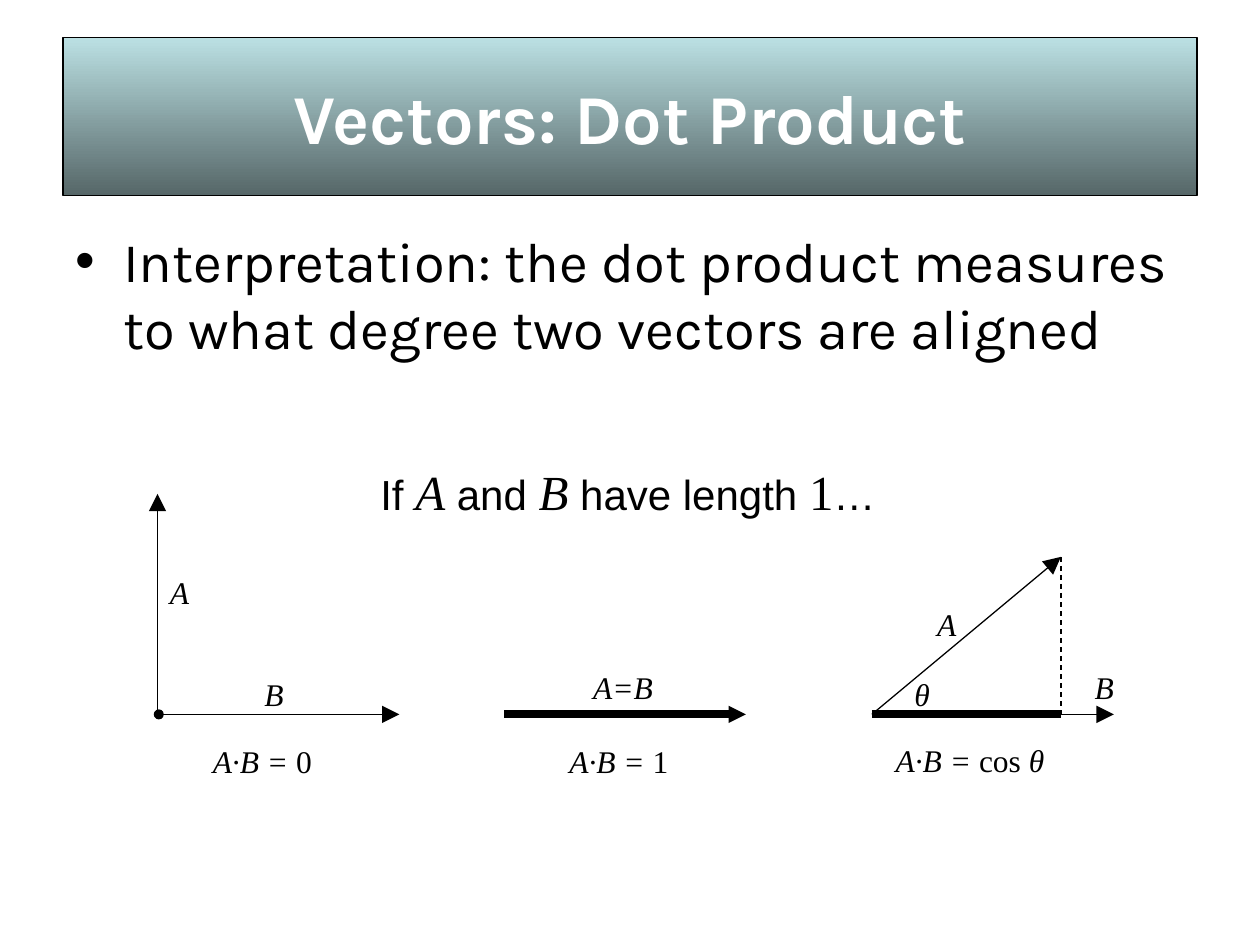
from lxml import etree
from pptx import Presentation, util as u
from pptx.dml.color import RGBColor
from pptx.enum import dml, shapes, text
from pptx.oxml.ns import qn

COLORS = {"ink": "000000", "title": "FFFFFF", "band_top": "BBE0E3", "band_bottom": "566768"}
RGB = {name: RGBColor.from_string(value) for name, value in COLORS.items()}
SERIF = "Times New Roman"

deck = Presentation()
deck.slide_width, deck.slide_height = u.Inches(10), u.Inches(7.5)
page = deck.slides.add_slide(deck.slide_layouts[6])


def add_label(left, top, width, height, spans):
    """Place one line of text; each span is (text, font, size, italic)."""
    box = page.shapes.add_textbox(*map(u.Inches, (left, top, width, height)))
    box.text_frame.word_wrap = False
    box.text_frame.auto_size = text.MSO_AUTO_SIZE.SHAPE_TO_FIT_TEXT
    para = box.text_frame.paragraphs[0]
    para.font.color.rgb = RGB["ink"]
    for words, font, size, italic in spans:
        span = para.add_run()
        span.text = words
        span.font.name, span.font.size, span.font.italic = font, u.Pt(size), italic
        span.font.color.rgb = RGB["ink"]


def add_line(start, end, weight=0.75, arrow=False, dashed=False):
    line = page.shapes.add_connector(
        shapes.MSO_CONNECTOR.STRAIGHT, *map(u.Inches, (*start, *end)))
    line.line.color.rgb = RGB["ink"]
    line.line.width = u.Pt(weight)
    if dashed:
        line.line.dash_style = dml.MSO_LINE.DASH
    if arrow:
        etree.SubElement(line.line._get_or_add_ln(), qn("a:tailEnd"),
                         type="triangle", w="lg", len="lg")
    etree.SubElement(line._element.spPr, qn("a:effectLst"))


# Title band
band = page.shapes.add_shape(
    shapes.MSO_SHAPE.RECTANGLE, *map(u.Inches, (0.5, 0.3, 9, 1.25)))
band.shadow.inherit = False
band.fill.gradient()
band.fill.gradient_angle = 270
for stop, name in zip(band.fill.gradient_stops, ("band_top", "band_bottom")):
    stop.color.rgb = RGB[name]
band.line.color.rgb = RGB["ink"]
band.line.width = u.Pt(0.75)
band.text_frame.vertical_anchor = text.MSO_ANCHOR.MIDDLE
para = band.text_frame.paragraphs[0]
para.text = "Vectors: Dot Product"
para.alignment = text.PP_ALIGN.CENTER
para.font.name, para.font.size, para.font.bold = "Karla", u.Pt(40), True
para.font.color.rgb = RGB["title"]

# Bulleted statement
body = page.shapes.add_textbox(*map(u.Inches, (0.5, 1.75, 9, 4.95)))
body.text_frame.word_wrap = True
para = body.text_frame.paragraphs[0]
para.text = "Interpretation: the dot product measures to what degree two vectors are aligned"
properties = para._p.get_or_add_pPr()
properties.set("marL", str(u.Inches(0.38)))
properties.set("indent", str(-u.Inches(0.38)))
etree.SubElement(properties, qn("a:buFont"), typeface="Arial")
etree.SubElement(properties, qn("a:buChar"), char="•")
para.font.name, para.font.size = "Karla", u.Pt(32)
para.font.color.rgb = RGB["ink"]

# Vectors: perpendicular, aligned, and at an angle
base = 5.67
length = 1.92
for origin in (1.25, 4, 6.92):
    add_line((origin, base), (origin + length, base), arrow=True)
add_line((1.25, base), (1.25, 3.92), arrow=True)
add_line((4, base), (5.83, base), weight=4.5)
add_line((6.92, base), (8.42, 4.42), arrow=True)
add_line((8.42, 4.42), (8.42, base), dashed=True)
add_line((6.92, base), (8.42, base), weight=4.5)

# Vector and angle names
for name, left, top, width in (
    ("A", 1.25, 4.5, 0.4), ("B", 2, 5.31, 0.4), ("A=B", 4.61, 5.25, 0.75),
    ("A", 7.34, 4.75, 0.4), ("B", 8.59, 5.25, 0.4), ("θ", 7.16, 5.31, 0.4),
):
    add_label(left, top, width, 0.4, [(name, SERIF, 18, True)])

# Condition above the vectors
add_label(2.92, 3.61, 4.13, 0.57, [
    ("If ", "Arial", 24, False), ("A", SERIF, 28, True),
    (" and ", "Arial", 24, False), ("B", SERIF, 28, True),
    (" have length ", "Arial", 24, False), ("1", SERIF, 28, False),
    ("…", "Arial", 24, False),
])

# Dot product results
for left, top, width, result in (
    (1.59, 5.84, 1.05, [("0", False)]),
    (4.42, 5.84, 1.05, [("1", False)]),
    (7.01, 5.83, 1.45, [("cos ", False), ("θ", True)]),
):
    add_label(left, top, width, 0.4, [
        (words, SERIF, 18, italic) for words, italic in [("A·B = ", True), *result]])

# Dot at the right angle
dot = page.shapes.add_shape(
    shapes.MSO_SHAPE.OVAL, *map(u.Inches, (1.22, 5.63, 0.08, 0.08)))
dot.shadow.inherit = False
dot.fill.solid()
dot.fill.fore_color.rgb = RGB["ink"]
dot.line.fill.background()

deck.save("out.pptx")
